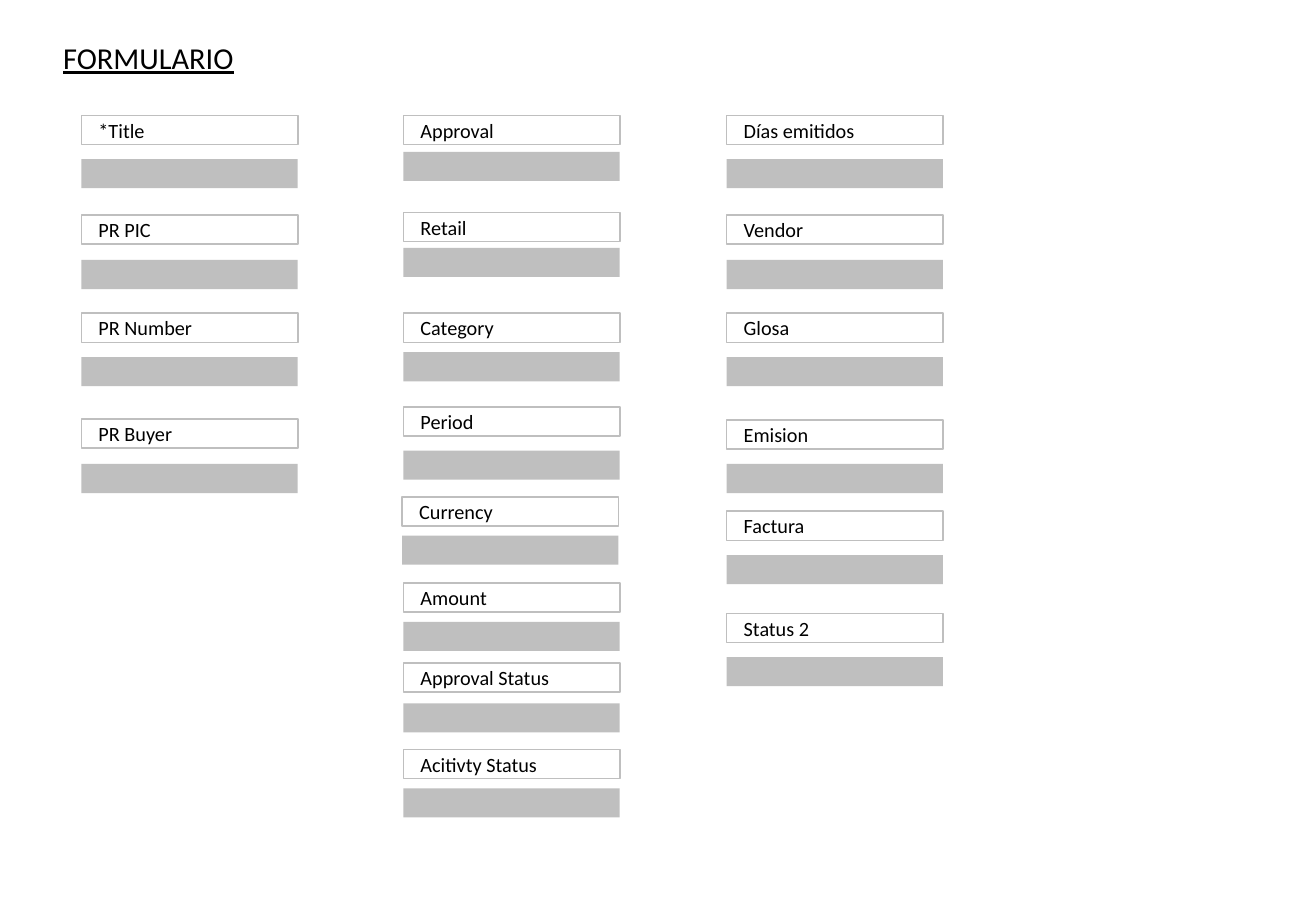
from pptx import Presentation
from pptx.dml.color import RGBColor
from pptx.enum.shapes import MSO_SHAPE as Shape
from pptx.enum.text import MSO_ANCHOR as Anchor, MSO_AUTO_SIZE as Fit, PP_ALIGN as Align
from pptx.util import Inches, Pt

COLORS = {"grey": "BFBFBF", "black": "000000"}
FONT = "Calibri"
WIDTH, HEIGHT = 1.78, 0.24
COLUMNS = [
    (0.67, [
        ("*Title", 0.95, 1.31),
        ("PR PIC", 1.77, 2.14),
        ("PR Number", 2.58, 2.94),
        ("PR Buyer", 3.45, 3.82),
    ]),
    (3.32, [
        ("Approval", 0.95, 1.25),
        ("Retail", 1.75, 2.04),
        ("Category", 2.58, 2.9),
        ("Period", 3.35, 3.71),
        ("Amount", 4.8, 5.12),
        ("Approval Status", 5.46, 5.79),
        ("Acitivty Status", 6.17, 6.49),
    ]),
    (3.31, [("Currency", 4.09, 4.41)]),
    (5.98, [
        ("Días emitidos", 0.95, 1.31),
        ("Vendor", 1.77, 2.14),
        ("Glosa", 2.58, 2.94),
        ("Emision", 3.46, 3.82),
        ("Factura", 4.21, 4.57),
        ("Status 2", 5.05, 5.41),
    ]),
]


def color(name):
    return RGBColor.from_string(COLORS[name])


def write(shape, text, size):
    frame = shape.text_frame
    frame.text = text
    frame.word_wrap = True
    frame.auto_size = Fit.NONE
    frame.vertical_anchor = Anchor.MIDDLE
    para = frame.paragraphs[0]
    para.alignment = Align.LEFT
    para.font.name = FONT
    para.font.size = Pt(size)
    para.font.color.rgb = color("black")
    return para


def add_box(slide, left, top):
    box = slide.shapes.add_shape(
        Shape.RECTANGLE, Inches(left), Inches(top), Inches(WIDTH), Inches(HEIGHT))
    box.shadow.inherit = False
    return box


def add_label(slide, left, top, text):
    box = add_box(slide, left, top)
    box.fill.background()
    box.line.color.rgb = color("grey")
    box.line.width = Pt(1)
    write(box, text, 12)
    frame = box.text_frame
    frame.margin_left = frame.margin_right = Inches(0.14)
    frame.margin_top = frame.margin_bottom = Inches(0.07)


def add_input(slide, left, top):
    box = add_box(slide, left, top)
    box.fill.solid()
    box.fill.fore_color.rgb = color("grey")
    box.line.fill.background()


def set_title(slide, text):
    title = slide.shapes.title
    title.left, title.top = Inches(0.42), Inches(0.26)
    title.width, title.height = Inches(2.34), Inches(0.42)
    write(title, text, 18).font.underline = True


def main():
    deck = Presentation()
    deck.slide_width, deck.slide_height = Inches(10.83), Inches(7.5)
    slide = deck.slides.add_slide(deck.slide_layouts[5])
    set_title(slide, "FORMULARIO")
    for left, fields in COLUMNS:
        for text, top, below in fields:
            add_label(slide, left, top, text)
            add_input(slide, left, below)
    deck.save("out.pptx")


if __name__ == "__main__":
    main()
